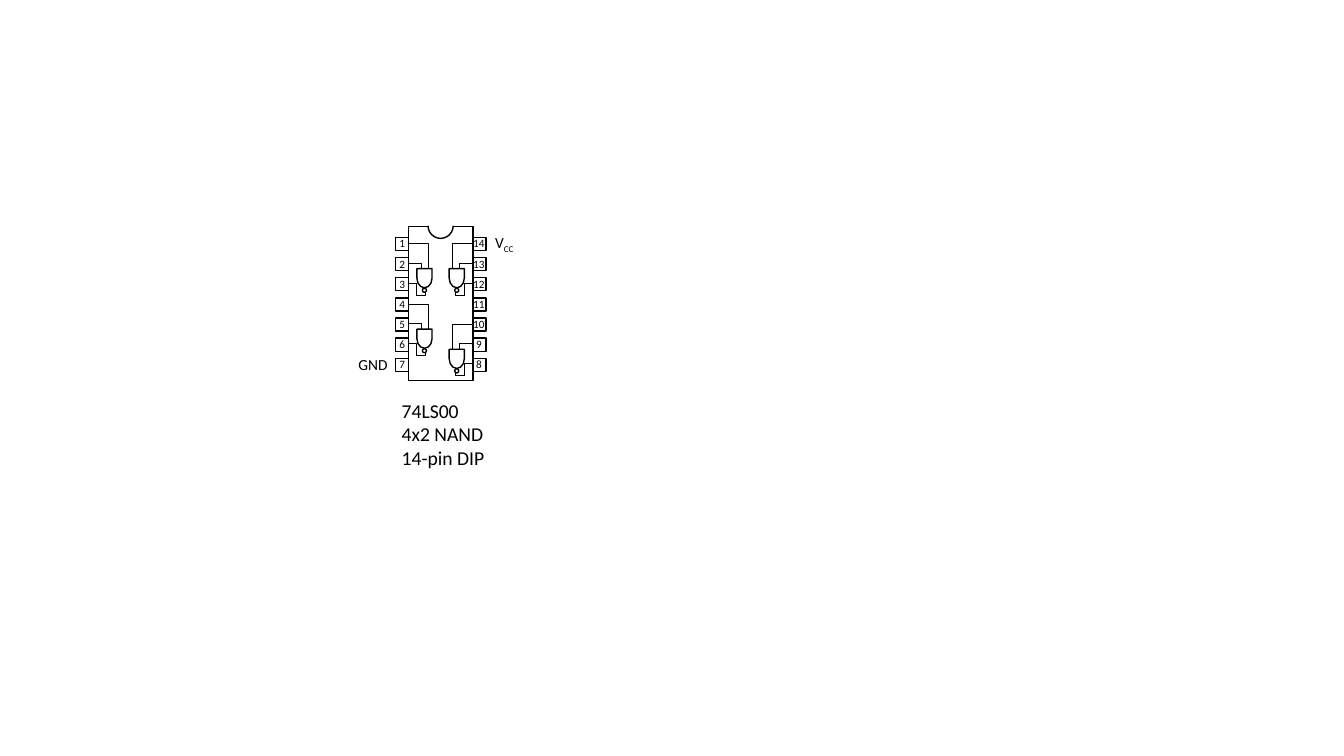
import pptx
import pptx.util
import pptx.dml.color
import pptx.enum.shapes
import pptx.enum.text

WIDE, HIGH = 13.33, 7.5
HUES = {"ink": "000000", "paper": "FFFFFF"}
FACE = "Calibri"
LEFT = ["1", "2", "3", "4", "5", "6", "7"]
RIGHT = ["14", "13", "12", "11", "10", "9", "8"]
NOTES = [["74LS00"], ["4x2 NAND"], ["14-pin DIP"]]
GATES = [(1, 4), (1, 0), (-1, 0), (-1, 3)]
WIRES = [
    [(0.32, 0.19), (0.19, 0.19), (0.19, 0.24)],
    [(0.15, 0.45), (0.15, 0.51), (0.24, 0.51)],
    [(0.24, 0.51), (0.24, 0.39), (0.31, 0.39)],
    [(0.32, 0), (0.12, 0), (0.12, 0.24)],
]
MID, TOP, STEP = 4.37, 2.42, 0.2

KIND = pptx.enum.shapes.MSO_SHAPE
ALIGN = pptx.enum.text.PP_ALIGN
inch = pptx.util.Inches


def hue(name):
    return pptx.dml.color.RGBColor.from_string(HUES[name])


def ink(shape, width, fill=None):
    shape.shadow.inherit = False
    if fill:
        shape.fill.solid()
        shape.fill.fore_color.rgb = hue(fill)
    else:
        shape.fill.background()
    if width:
        shape.line.color.rgb = hue("ink")
        shape.line.width = pptx.util.Pt(width)
    else:
        shape.line.fill.background()


def block(home, kind, x, y, w, h, fill=None, width=1, turn=0):
    shape = home.add_shape(kind, inch(x - w / 2), inch(y - h / 2), inch(w), inch(h))
    shape.rotation = turn
    ink(shape, width, fill)
    return shape


def label(home, lines, x, y, w, h, size, align=ALIGN.CENTER, wrap=False):
    box = home.add_textbox(inch(x - w / 2), inch(y - h / 2), inch(w), inch(h))
    frame = box.text_frame
    frame.word_wrap = wrap
    frame.auto_size = pptx.enum.text.MSO_AUTO_SIZE.SHAPE_TO_FIT_TEXT
    for num, line in enumerate(lines):
        para = frame.add_paragraph() if num else frame.paragraphs[0]
        para.alignment = align
        for part, text in enumerate(line):
            run = para.add_run()
            run.text = text
            run.font.size = pptx.util.Pt(size)
            run.font.name = FACE
            run.font.color.rgb = hue("ink")
            if part:
                run.font._element.set("baseline", "-25000")


def wire(home, dots):
    spots = [(inch(x), inch(y)) for x, y in dots]
    pen = home.build_freeform(*spots[0], scale=1.0)
    pen.add_line_segments(spots[1:], close=False)
    ink(pen.convert_to_shape(), 0.75)


def chip(home):
    for row in range(len(LEFT)):
        block(home, KIND.RECTANGLE, MID, TOP + row * STEP, 0.9, 0.13)
    block(home, KIND.RECTANGLE, MID, TOP + 3 * STEP - 0.01, 0.64, 1.53, "paper")
    block(home, KIND.RECTANGLE, MID, 2.24, 0.25, 0.11, "paper", 0)
    notch = block(home, KIND.ARC, MID, 2.24, 0.25, 0.25)
    notch.adjustments[0] = 0
    notch.adjustments[1] = 108
    for names, x, w in ((RIGHT, 4.75, 0.39), (LEFT, 3.99, 0.36)):
        for row, name in enumerate(names):
            label(home, [[name]], x, TOP + row * STEP, w, 0.24, 8)


def gate(home, side, row):
    y = TOP + row * STEP
    for dots in WIRES:
        wire(home, [(MID + side * dx, y + dy) for dx, dy in dots])
    x = MID + side * 0.16
    block(home, KIND.FLOWCHART_DELAY, x, y + 0.34, 0.19, 0.15, "paper", turn=90)
    block(home, KIND.OVAL, x, y + 0.46, 0.04, 0.04, "paper", turn=90)


def main():
    deck = pptx.Presentation()
    deck.slide_width, deck.slide_height = inch(WIDE), inch(HIGH)
    shapes = deck.slides.add_slide(deck.slide_layouts[6]).shapes
    chip(shapes.add_group_shape().shapes)
    label(shapes, [["V", "CC"]], 5, TOP - 0.01, 0.45, 0.29, 11)
    label(shapes, [["GND"]], 3.7, TOP + 6 * STEP, 0.51, 0.29, 11)
    label(shapes, NOTES, 4.51, 4.31, 1.25, 0.81, 14, ALIGN.LEFT, True)
    for side, row in GATES:
        gate(shapes.add_group_shape().shapes, side, row)
    deck.save("out.pptx")


if __name__ == "__main__":
    main()
